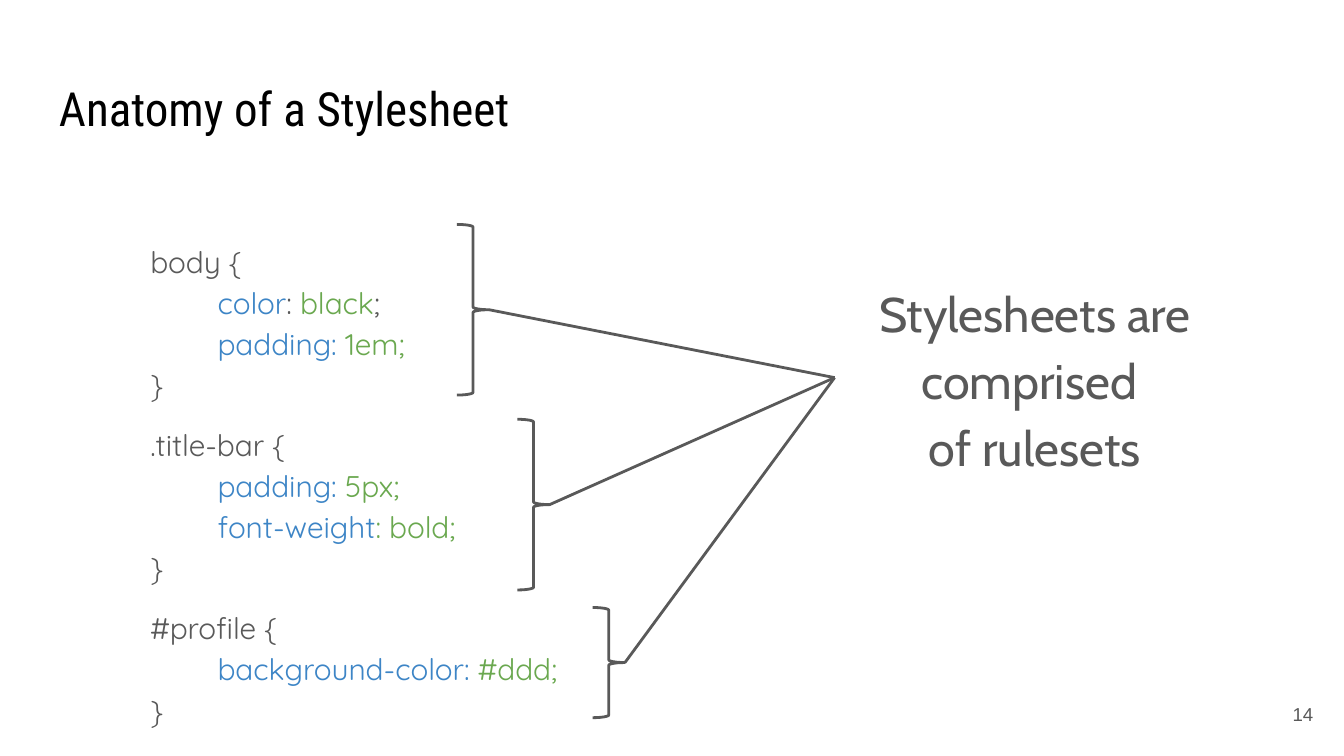
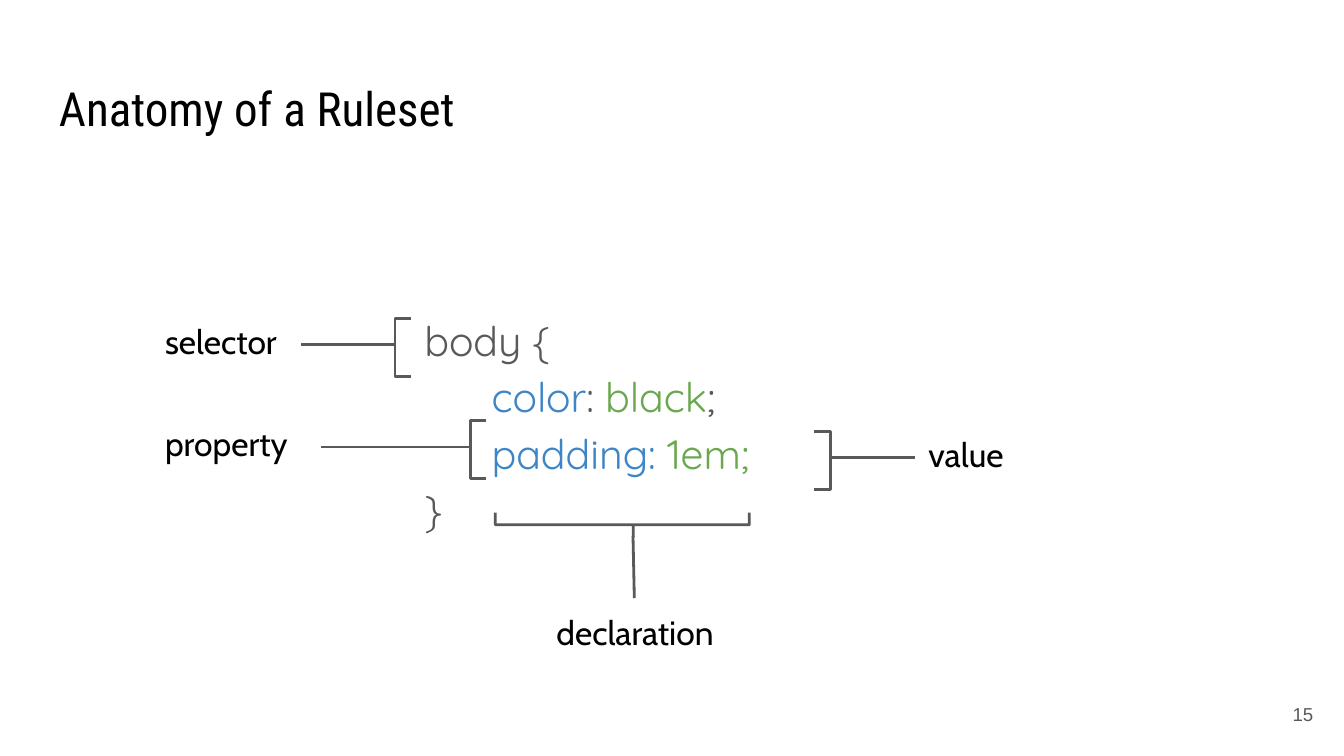
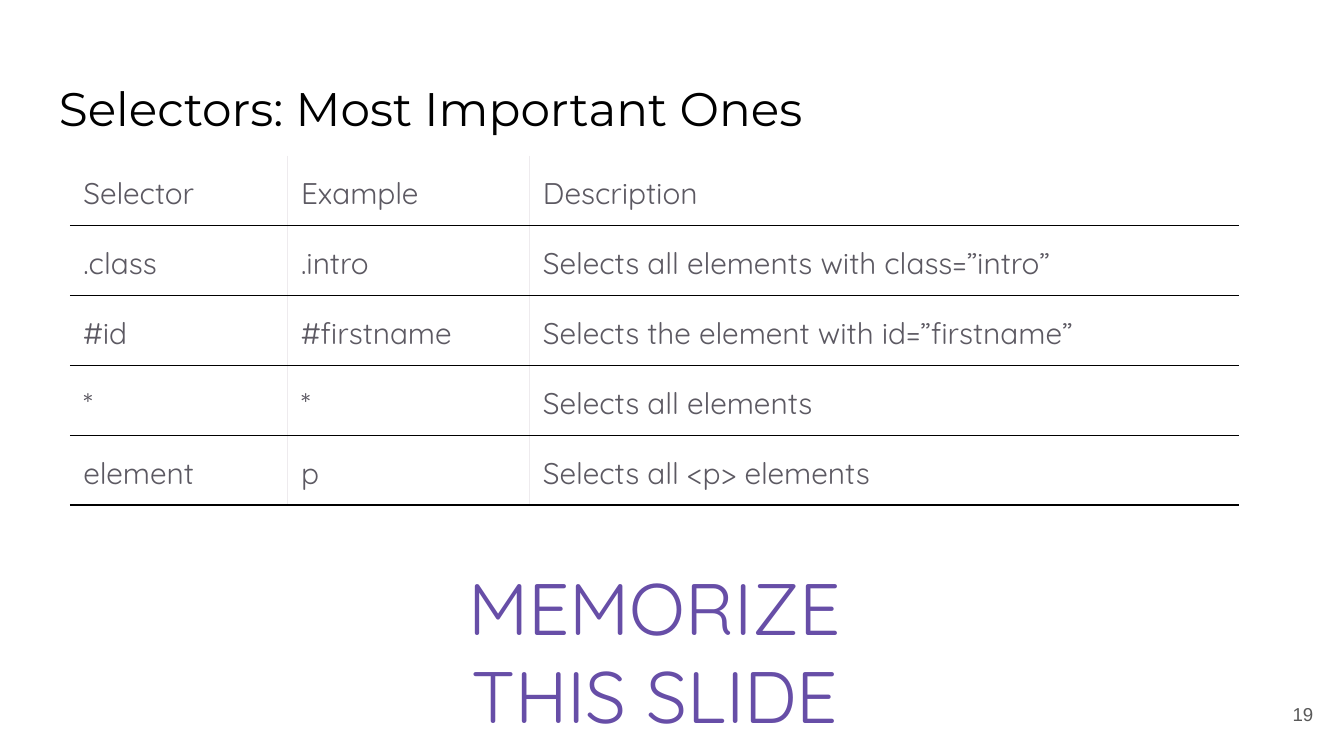
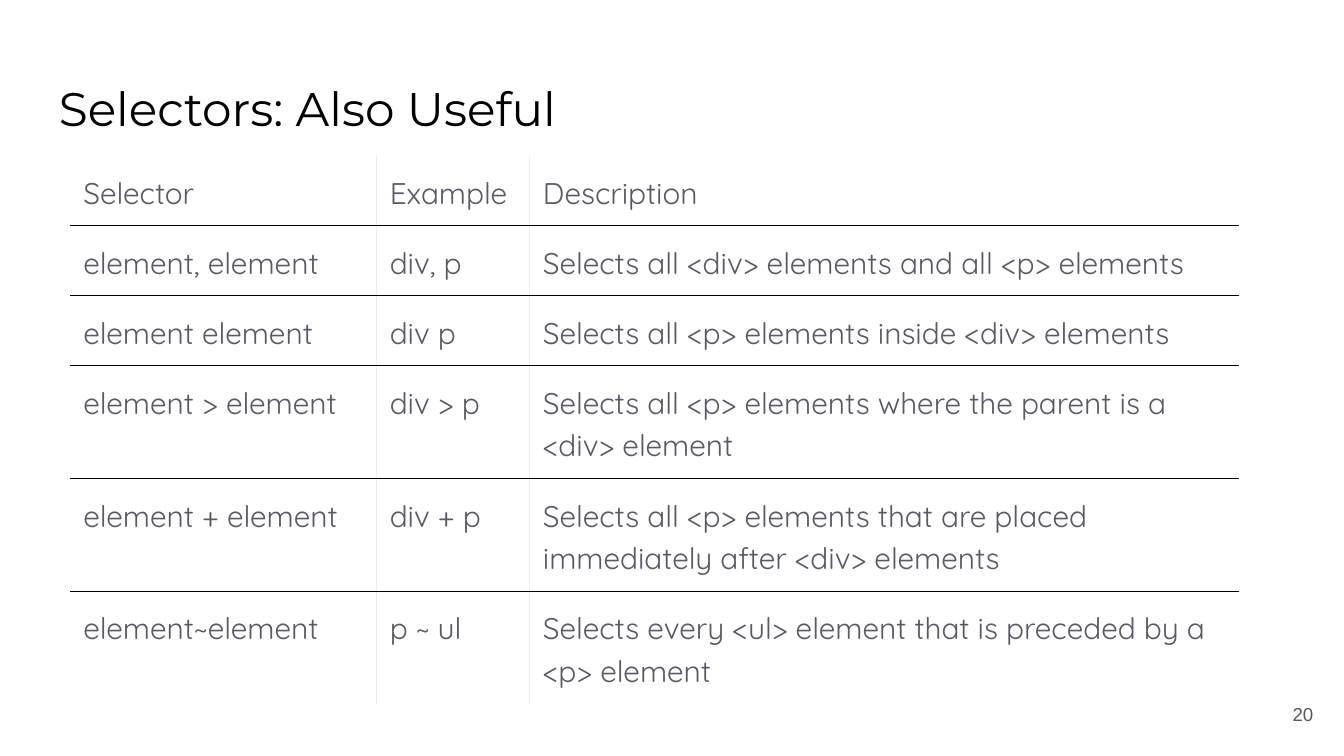
import pptx
import pptx.util
from lxml import etree
from pptx.dml.color import RGBColor
from pptx.enum.shapes import MSO_CONNECTOR, MSO_SHAPE
from pptx.enum.text import MSO_ANCHOR, PP_ALIGN
from pptx.oxml.ns import qn
from pptx.util import Inches, Pt

BLACK = RGBColor(0x00, 0x00, 0x00)
WHITE = RGBColor(0xFF, 0xFF, 0xFF)
GREY = RGBColor(0x59, 0x59, 0x59)
TABLE_GREY = RGBColor(0x5C, 0x59, 0x62)
RULE_GREY = RGBColor(0xEE, 0xEB, 0xEE)
BLUE = RGBColor(0x3D, 0x85, 0xC6)
GREEN = RGBColor(0x6A, 0xA8, 0x4F)
PURPLE = RGBColor(0x67, 0x4E, 0xA7)

CODE_FONT = "Quicksand"
LABEL_FONT = "Cabin"
INSET = Inches(0.1)
LINE_SPACING = 1.15
BRACE_W = 0.24
TIP = 0.457  # where the tip of a square bracket sits along its length
ONE_LINE, TWO_LINES = 0.52, 0.84  # table row heights

# A code line is (indent in inches, [(text, colour), ...]).
BODY_RULESET = [
    (0, [("body {", GREY)]),
    (0, [("\t", GREY), ("color", BLUE), (": ", GREY), ("black", GREEN), (";", GREY)]),
    (0, [("\t", GREY), ("padding: ", BLUE), ("1em;", GREEN)]),
    (0, [("}", GREY)]),
]
TITLE_BAR_RULESET = [
    (0, [(".title-bar {", GREY)]),
    (0.5, [("padding: ", BLUE), ("5px;", GREEN)]),
    (0.5, [("font-weight", BLUE), (": bold;", GREEN)]),
    (0, [("}", GREY)]),
]
PROFILE_RULESET = [
    (0, [("#profile {", GREY)]),
    (0.5, [("background-color: ", BLUE), ("#ddd;", GREEN)]),
    (0, [("}", GREY)]),
]

HEADER = ("Selector", "Example", "Description")
IMPORTANT_SELECTORS = [
    HEADER,
    (".class", ".intro", "Selects all elements with class=”intro”"),
    ("#id", "#firstname", "Selects the element with id=”firstname”"),
    ("*", "*", "Selects all elements"),
    ("element", "p", "Selects all <p> elements"),
]
USEFUL_SELECTORS = [
    HEADER,
    ("element, element", "div, p",
     "Selects all <div> elements and all <p> elements"),
    ("element element", "div p",
     "Selects all <p> elements inside <div> elements"),
    ("element > element", "div > p",
     "Selects all <p> elements where the parent is a <div> element"),
    ("element + element", "div + p",
     "Selects all <p> elements that are placed immediately after <div> elements"),
    ("element~element", "p ~ ul",
     "Selects every <ul> element that is preceded by a <p> element"),
]


def style_font(font, name, size, color):
    font.name, font.size = name, Pt(size)
    font.color.rgb = color


def set_margins(item):
    item.margin_left = item.margin_right = INSET
    item.margin_top = item.margin_bottom = INSET


def add_box(s, x, y, w, h):
    tf = s.shapes.add_textbox(Inches(x), Inches(y), Inches(w), Inches(h)).text_frame
    tf.word_wrap = True
    set_margins(tf)
    return tf


def add_text(s, text, x, y, w, h, font, size, color,
             align=PP_ALIGN.LEFT, anchor=MSO_ANCHOR.TOP, spacing=None):
    tf = add_box(s, x, y, w, h)
    tf.vertical_anchor = anchor
    p = tf.paragraphs[0]
    p.text = text
    p.alignment = align
    if spacing:
        p.line_spacing = spacing
    for r in p.runs:
        style_font(r.font, font, size, color)


def add_label(s, text, x, y, w, align=PP_ALIGN.LEFT):
    add_text(s, text, x, y, w, 0.54, LABEL_FONT, 18, BLACK, align)


def add_code(s, rulesets, x, y, size, top=0.1):
    """Coloured code; every ruleset after the first is set off by a gap."""
    tf = add_box(s, x, y, 3.89, 3.87)
    tf.margin_top = Inches(top)
    p = None
    for ruleset in rulesets:
        for i, (indent, parts) in enumerate(ruleset):
            gap = p is not None and i == 0
            p = tf.paragraphs[0] if p is None else tf.add_paragraph()
            p.line_spacing = LINE_SPACING
            if gap:
                p.space_before = Pt(10)
            if indent:
                pPr = p._p.get_or_add_pPr()
                pPr.set("marL", "0")
                pPr.set("indent", str(Inches(indent)))
            for text, color in parts:
                r = p.add_run()
                r.text = text
                style_font(r.font, CODE_FONT, size, color)


def add_brace(s, x, y, w, h, curve, tip, flip=False, rotation=0):
    sp = s.shapes.add_shape(MSO_SHAPE.RIGHT_BRACE,
                            Inches(x), Inches(y), Inches(w), Inches(h))
    sp.adjustments[0], sp.adjustments[1] = curve, tip
    sp.shadow.inherit = False
    sp.fill.background()
    sp.line.color.rgb = GREY
    sp.line.width = Pt(1.5)
    sp.rotation = rotation
    if flip:
        sp.element.spPr.find(qn("a:xfrm")).set("flipH", "1")


def add_line(s, x1, y1, x2, y2):
    line = s.shapes.add_connector(MSO_CONNECTOR.STRAIGHT,
                                  Inches(x1), Inches(y1), Inches(x2), Inches(y2))
    line.line.color.rgb = GREY
    line.line.width = Pt(1.5)
    etree.SubElement(line.element.spPr, qn("a:effectLst"))


def add_callout(s, text, brace_x, brace_y, label_x, label_w):
    """Square bracket beside the code, joined by a line to its label."""
    h = 0.43
    on_left = label_x < brace_x
    add_brace(s, brace_x, brace_y, BRACE_W, h, 0, TIP, flip=on_left)
    tip_x = brace_x if on_left else brace_x + BRACE_W
    line_end = label_x + label_w if on_left else label_x
    tip_y = brace_y + h * TIP
    add_line(s, tip_x, tip_y, line_end, tip_y)
    add_label(s, text, label_x, brace_y - 0.08, label_w)


def set_border(cell, side, color):
    """Draw one side of a cell, or clear it when color is None."""
    ln = etree.SubElement(cell._tc.get_or_add_tcPr(), qn("a:ln" + side))
    if color is None:
        ln.set("w", "0")
        etree.SubElement(ln, qn("a:noFill"))
    else:
        ln.set("w", str(Pt(0.75)))
        fill = etree.SubElement(ln, qn("a:solidFill"))
        etree.SubElement(fill, qn("a:srgbClr")).set("val", str(color))


def add_selector_table(s, rows, widths, heights, closed):
    """Table with inner rules; closed adds a rule under the last row."""
    frame = s.shapes.add_table(len(rows), len(widths), Inches(0.52), Inches(1.16),
                               Inches(sum(widths)), Inches(sum(heights)))
    table = frame.table
    table.first_row = table.horz_banding = False
    for column, width in zip(table.columns, widths):
        column.width = Inches(width)
    for table_row, height in zip(table.rows, heights):
        table_row.height = Inches(height)
    last_row, last_col = len(rows) - 1, len(widths) - 1
    for i, row in enumerate(rows):
        for j, text in enumerate(row):
            cell = table.cell(i, j)
            set_margins(cell)
            set_border(cell, "L", RULE_GREY if j > 0 else None)
            set_border(cell, "R", RULE_GREY if j < last_col else None)
            set_border(cell, "T", BLACK if i > 0 else None)
            set_border(cell, "B", BLACK if i < last_row or closed else None)
            cell.fill.solid()
            cell.fill.fore_color.rgb = WHITE
            p = cell.text_frame.paragraphs[0]
            p.text = text
            p.line_spacing = LINE_SPACING
            style_font(p.runs[0].font, CODE_FONT, 16, TABLE_GREY)


def new_slide(prs, title, number, title_font):
    s = prs.slides.add_slide(prs.slide_layouts[6])
    s.background.fill.solid()
    s.background.fill.fore_color.rgb = WHITE
    add_text(s, title, 0.34, 0.49, 9.32, 0.63, title_font, 25.2, BLACK)
    add_text(s, str(number), 9.27, 5.1, 0.6, 0.43, "Arial", 10, GREY,
             PP_ALIGN.RIGHT, MSO_ANCHOR.MIDDLE)
    return s


def stylesheet_slide(prs):
    s = new_slide(prs, "Anatomy of a Stylesheet", 14, "Roboto Condensed")
    add_code(s, [BODY_RULESET, TITLE_BAR_RULESET, PROFILE_RULESET], 1.02, 1.67, 16)
    add_text(s, "Stylesheets are comprised \vof rulesets", 6.21, 1.95, 2.98, 1.72,
             LABEL_FONT, 26, GREY, PP_ALIGN.CENTER, spacing=LINE_SPACING)
    for x, y, h in [(3.4, 1.67, 1.27), (3.85, 3.12, 1.27), (4.41, 4.52, 0.82)]:
        add_brace(s, x, y, BRACE_W, h, 0.083, 0.5)
        add_line(s, x + BRACE_W, y + h / 2, 6.21, 2.81)


def ruleset_slide(prs):
    s = new_slide(prs, "Anatomy of a Ruleset", 15, "Roboto Condensed")
    add_code(s, [BODY_RULESET], 3.06, 1.75, 22, top=0.54)
    add_callout(s, "selector", 2.82, 2.37, 1.13, 1.11)
    add_callout(s, "property", 3.38, 3.13, 1.13, 1.26)
    add_callout(s, "value", 6.06, 3.21, 6.81, 1.26)
    add_brace(s, 4.54, 2.96, 0.18, 1.89, 0, TIP, rotation=90)
    add_line(s, 4.71, 3.99, 4.72, 4.45)
    add_label(s, "declaration", 3.95, 4.45, 1.55, PP_ALIGN.CENTER)


def important_selectors_slide(prs):
    s = new_slide(prs, "Selectors: Most Important Ones", 19, "Montserrat")
    add_selector_table(s, IMPORTANT_SELECTORS, (1.62, 1.8, 5.28),
                       [ONE_LINE] * 5, closed=True)
    add_text(s, "MEMORIZE THIS SLIDE", 3.24, 4.59, 3.26, 0.5, CODE_FONT, 39, PURPLE,
             PP_ALIGN.CENTER, MSO_ANCHOR.MIDDLE)


def useful_selectors_slide(prs):
    s = new_slide(prs, "Selectors: Also Useful", 20, "Montserrat")
    add_selector_table(s, USEFUL_SELECTORS, (2.28, 1.14, 5.28),
                       [ONE_LINE] * 3 + [TWO_LINES] * 3, closed=False)


def main():
    prs = pptx.Presentation()
    prs.slide_width = Inches(10)
    prs.slide_height = prs.slide_width * 9 // 16
    stylesheet_slide(prs)
    ruleset_slide(prs)
    important_selectors_slide(prs)
    useful_selectors_slide(prs)
    prs.save("out.pptx")


if __name__ == "__main__":
    main()
